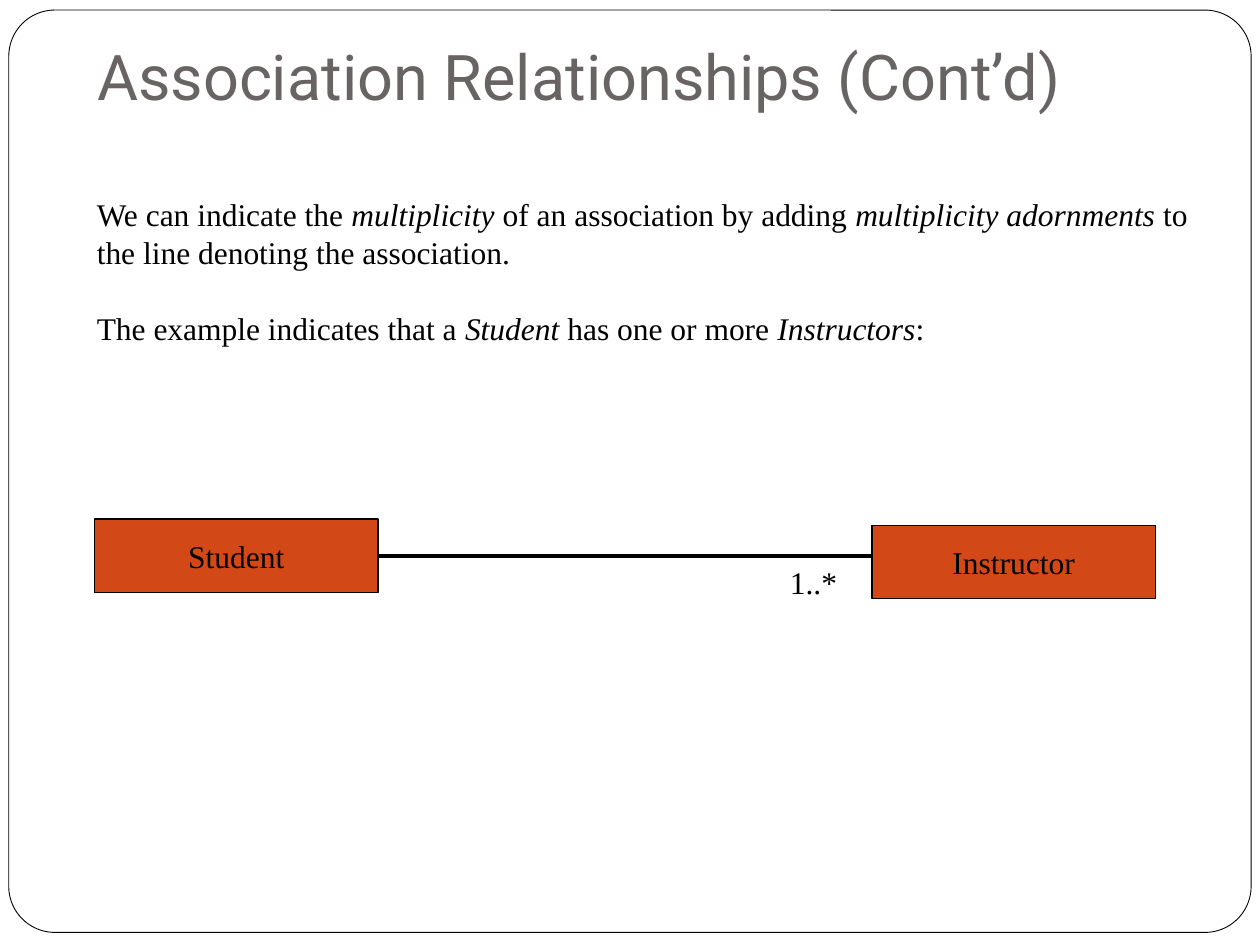
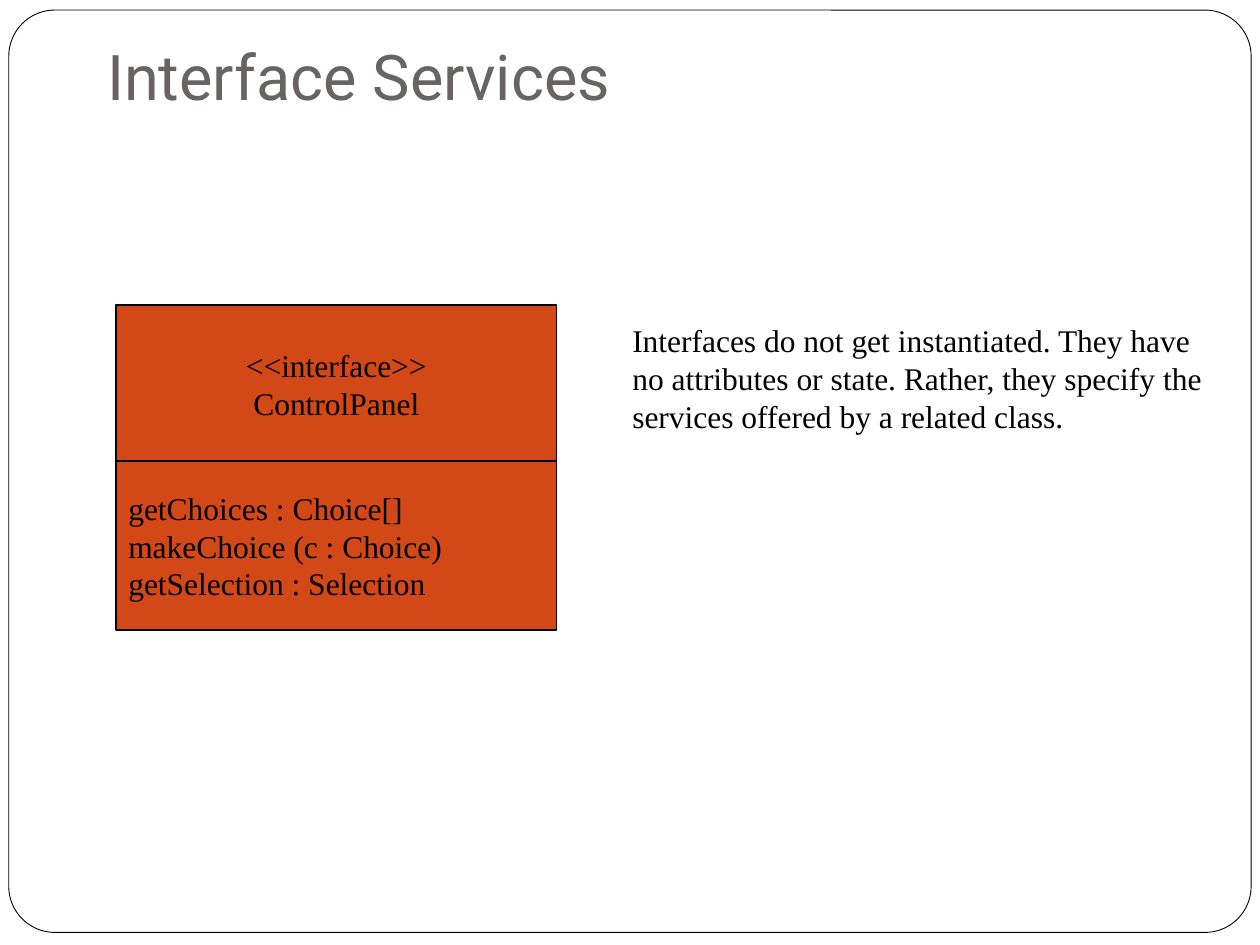
from dataclasses import dataclass
from pptx import Presentation
from pptx.dml.color import RGBColor
from pptx.enum.shapes import MSO_CONNECTOR, MSO_SHAPE
from pptx.enum.text import MSO_ANCHOR, MSO_AUTO_SIZE, PP_ALIGN
from pptx.oxml.ns import qn
from pptx.util import Inches, Pt
from lxml.etree import SubElement


@dataclass(frozen=True)
class Theme:
    ink: RGBColor = RGBColor(0, 0, 0)
    paper: RGBColor = RGBColor(0xFF, 0xFF, 0xFF)
    head: RGBColor = RGBColor(0x69, 0x64, 0x64)
    fill: RGBColor = RGBColor(0xD3, 0x48, 0x17)
    head_font: str = "Roboto"
    text_font: str = "Times New Roman"
    head_size: Pt = Pt(36)
    text_size: Pt = Pt(18)
    gap: Pt = Pt(21.7)
    frame_line: Pt = Pt(0.5)
    box_line: Pt = Pt(0.75)
    link_line: Pt = Pt(2.25)


def place(*sizes):
    return [Inches(size) for size in sizes]


class Deck:
    def __init__(self, theme):
        self.theme = theme
        self.show = Presentation()
        self.show.slide_width, self.show.slide_height = place(10, 7.5)
        self.layout = self.show.slide_layouts[5]
        self.slide = None

    def page(self, title, left, width):
        first = self.slide is None
        self.slide = self.show.slides.add_slide(self.layout)
        if first:
            self.frame()
        shape = self.slide.shapes.title
        shape.left, shape.top, shape.width, shape.height = place(left, 0.42, width, 0.58)
        frame = shape.text_frame
        frame.text = title
        frame.auto_size = MSO_AUTO_SIZE.NONE
        frame.vertical_anchor = MSO_ANCHOR.BOTTOM
        frame.margin_bottom = Inches(0.1)
        look = self.theme
        self.style(frame.paragraphs[0], look.head_font, look.head_size, look.head)

    def style(self, para, name, size, color, align=PP_ALIGN.LEFT):
        para.alignment = align
        para.font.name = name
        para.font.size = size
        para.font.color.rgb = color

    def shape(self, host, kind, spot, fill, width):
        shape = host.shapes.add_shape(kind, *place(*spot))
        shape.shadow.inherit = False
        shape.fill.solid()
        shape.fill.fore_color.rgb = fill
        shape.line.color.rgb = self.theme.ink
        shape.line.width = width
        return shape

    def frame(self):
        look = self.theme
        frame = self.shape(self.slide, MSO_SHAPE.ROUNDED_RECTANGLE,
                           (0.07, 0.08, 9.86, 7.32), look.paper, look.frame_line)
        frame.adjustments[0] = 0.05
        frame.element.nvSpPr.cNvPr.set("id", "20")
        self.layout.shapes.element.insert(2, frame.element)

    def lines(self, frame, lines, align=PP_ALIGN.LEFT, gap=0):
        look = self.theme
        frame.word_wrap = True
        for row, line in enumerate(lines):
            para = frame.add_paragraph() if row else frame.paragraphs[0]
            if row and gap:
                para.space_before = gap
            for turn, part in enumerate(line.split("_")):
                run = para.add_run()
                run.text = part
                if turn % 2:
                    run.font.italic = True
            self.style(para, look.text_font, look.text_size, look.ink, align)

    def text(self, spot, *lines):
        box = self.slide.shapes.add_textbox(*place(*spot))
        self.lines(box.text_frame, lines, gap=self.theme.gap)

    def box(self, spot, *lines, align=PP_ALIGN.CENTER, host=None):
        look = self.theme
        box = self.shape(host or self.slide, MSO_SHAPE.RECTANGLE, spot, look.fill, look.box_line)
        box.text_frame.vertical_anchor = MSO_ANCHOR.MIDDLE
        self.lines(box.text_frame, lines, align)
        return box

    def link(self, start, end):
        line = self.slide.shapes.add_connector(MSO_CONNECTOR.STRAIGHT, 0, 0, *place(*end))
        line.begin_connect(start, 3)
        line.line.color.rgb = self.theme.ink
        line.line.width = self.theme.link_line
        SubElement(line.element.spPr, qn("a:effectLst"))


def multiple(deck):
    deck.page("Association Relationships (Cont’d)", 0.67, 8.92)
    deck.text((0.67, 1.5, 8.87, 2.1),
              "We can indicate the _multiplicity_ of an association by adding "
              "_multiplicity adornments_ to the line denoting the association.",
              "The example indicates that a _Student_ has one or more _Instructors_:")
    student = deck.box((0.75, 4.12, 2.25, 0.58), "Student")
    deck.link(student, (7, 4.41))
    deck.box((6.92, 4.17, 2.25, 0.58), "Instructor")
    deck.text((6.17, 4.42, 0.75, 0.5), "1..*")


def service(deck):
    deck.page("Interface Services", 0.75, 8.58)
    deck.text((4.92, 2.5, 4.83, 1.7),
              "Interfaces do not get instantiated. They have no attributes or state. "
              "Rather, they specify the services offered by a related class.")
    panel = deck.slide.shapes.add_group_shape()
    deck.box((0.92, 2.42, 3.5, 1.25), "<<interface>>", "ControlPanel", host=panel)
    deck.box((0.92, 3.66, 3.5, 1.34), "getChoices : Choice[]", "makeChoice (c : Choice)",
             "getSelection : Selection", align=PP_ALIGN.LEFT, host=panel)


def main():
    deck = Deck(Theme())
    multiple(deck)
    service(deck)
    deck.show.save("out.pptx")


if __name__ == "__main__":
    main()
